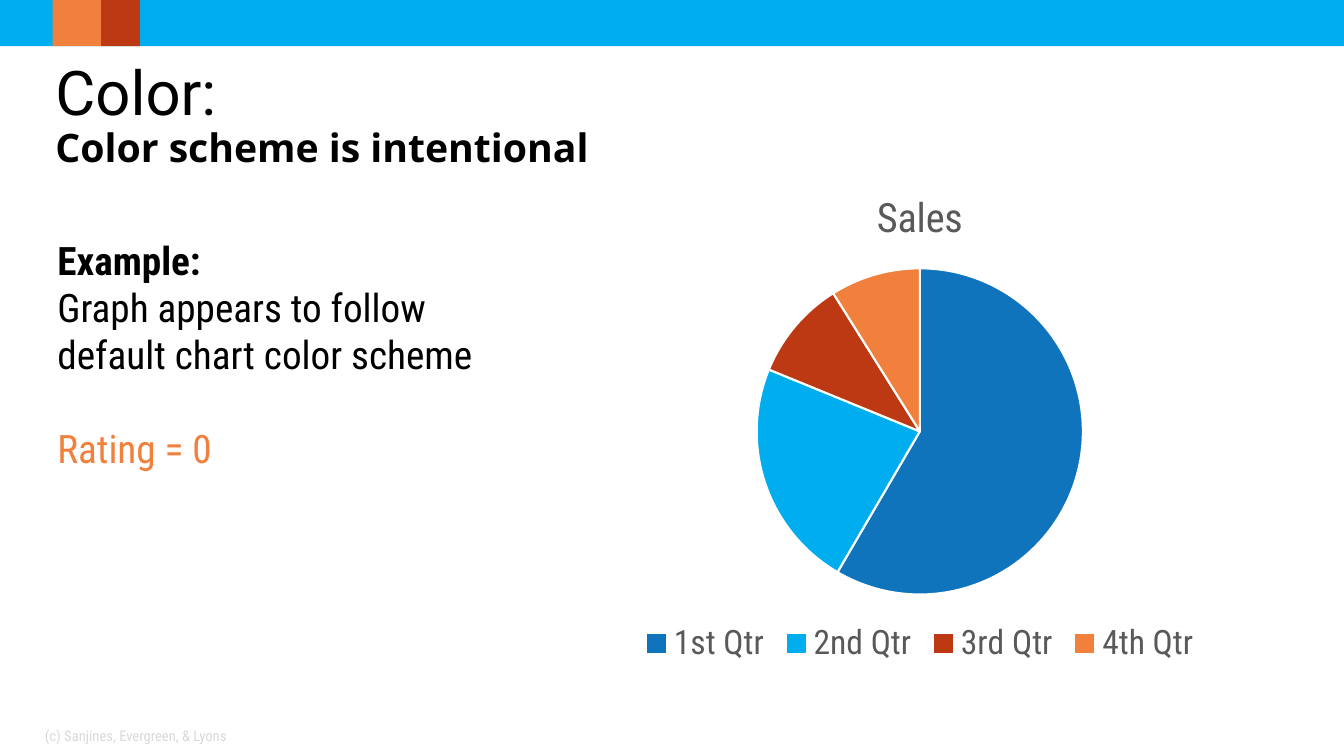
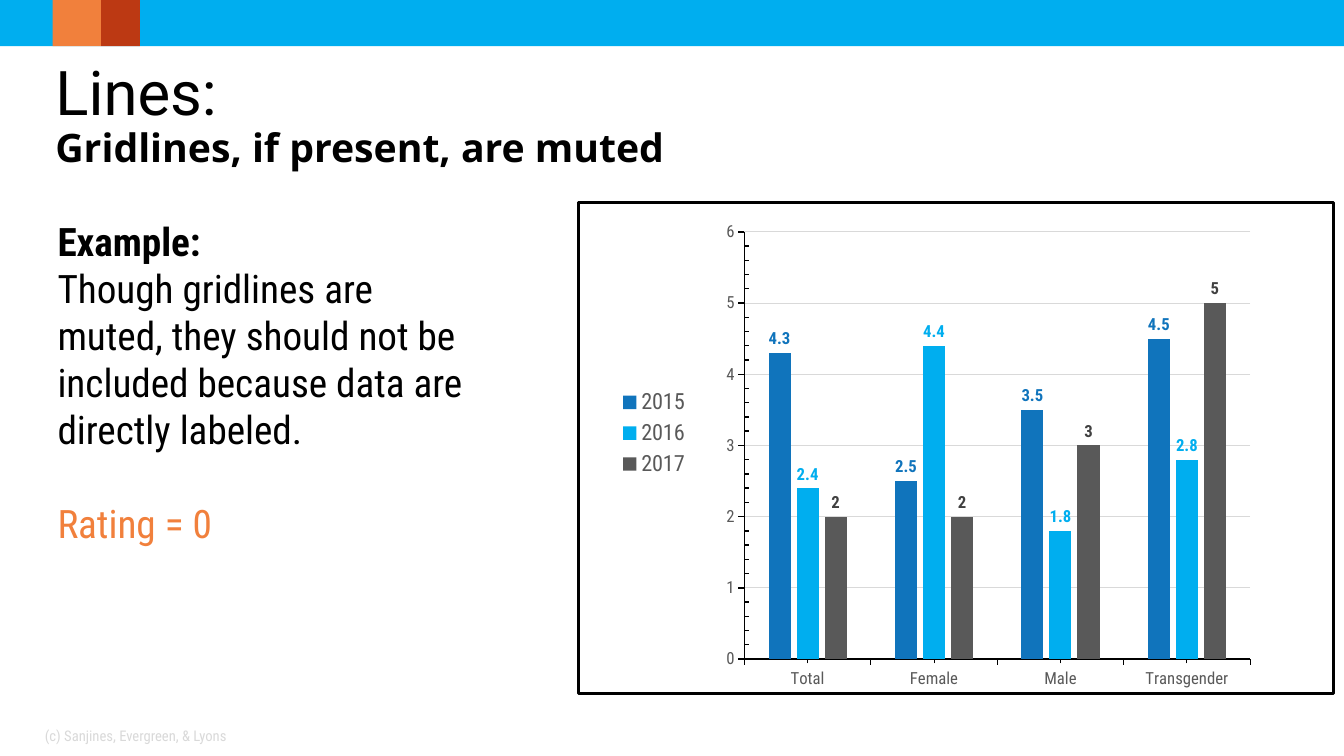
from dataclasses import dataclass

import lxml.etree
import pptx
import pptx.chart.data
import pptx.dml.color
import pptx.enum.chart
import pptx.enum.shapes
import pptx.enum.text
import pptx.oxml.ns
import pptx.util

Pt = pptx.util.Pt
RGB = pptx.dml.color.RGBColor.from_string
qn = pptx.oxml.ns.qn
Tick = pptx.enum.chart.XL_TICK_MARK
LegendPosition = pptx.enum.chart.XL_LEGEND_POSITION
ChartType = pptx.enum.chart.XL_CHART_TYPE


@dataclass(frozen=True)
class Theme:
    sky: str = "00AEEF"
    blue: str = "1074BC"
    red: str = "BC3913"
    orange: str = "F1803C"
    black: str = "000000"
    charcoal: str = "404040"
    gray: str = "595959"
    light_gray: str = "D9D9D9"
    white: str = "FFFFFF"
    title_font: str = "Roboto"
    subtitle_font: str = "Open Sans"
    body_font: str = "Roboto Condensed"
    title_size: float = 44
    body_size: float = 28
    chart_title_size: float = 28.8
    pie_legend_size: float = 24
    legend_size: float = 16
    chart_size: float = 12
    footer_size: float = 10.5


THEME = Theme()
SLIDE_WIDTH, SLIDE_HEIGHT = 960, 540
BAND_HEIGHT = 33


def apply(target, values):
    for name, value in values.items():
        setattr(target, name, value)


def set_font(font, size, color, name=THEME.body_font, bold=False):
    apply(font, {"size": Pt(size), "name": name, "bold": bold})
    font.color.rgb = RGB(color)


def set_line(line, color, width):
    line.color.rgb = RGB(color)
    line.width = Pt(width)


def set_layout(parent, index, box, inner=False):
    """Place a chart part by fractions (x, y, width, height) of the chart."""
    for old in parent.findall(qn("c:layout")):
        parent.remove(old)
    layout = lxml.etree.Element(qn("c:layout"))
    manual = lxml.etree.SubElement(layout, qn("c:manualLayout"))
    settings = {"layoutTarget": "inner"} if inner else {}
    settings.update(xMode="edge", yMode="edge")
    settings.update(zip("xywh", map(str, box)))
    for tag, value in settings.items():
        lxml.etree.SubElement(manual, qn("c:" + tag), val=value)
    parent.insert(index, layout)


def set_border(chart, color, width):
    properties = lxml.etree.Element(qn("c:spPr"))
    line = lxml.etree.SubElement(properties, qn("a:ln"), w=str(Pt(width)))
    fill = lxml.etree.SubElement(line, qn("a:solidFill"))
    lxml.etree.SubElement(fill, qn("a:srgbClr"), val=color)
    chart.element.find(qn("c:chart")).addnext(properties)


class Deck:
    def __init__(self, theme):
        self.theme = theme
        self.presentation = pptx.Presentation()
        apply(self.presentation, {"slide_width": Pt(SLIDE_WIDTH), "slide_height": Pt(SLIDE_HEIGHT)})
        self.slide = None

    def start_slide(self, title, subtitle):
        self.slide = self.presentation.slides.add_slide(self.presentation.slide_layouts[6])
        theme = self.theme
        for left, width, color in [(0, SLIDE_WIDTH, theme.sky), (72, 28, theme.red), (37.5, 34.5, theme.orange)]:
            self.band(left, width, color)
        self.title(title, subtitle)
        self.footer("(c) Sanjines, Evergreen, & Lyons")

    def band(self, left, width, color):
        shape = self.slide.shapes.add_shape(
            pptx.enum.shapes.MSO_SHAPE.RECTANGLE, Pt(left), Pt(0), Pt(width), Pt(BAND_HEIGHT))
        shape.shadow.inherit = False
        shape.fill.solid()
        shape.fill.fore_color.rgb = RGB(color)
        shape.line.fill.background()

    def text_box(self, box, **frame_values):
        frame = self.slide.shapes.add_textbox(*map(Pt, box)).text_frame
        apply(frame, {"word_wrap": True, **frame_values})
        return frame

    def run(self, paragraph, text, *font):
        run = paragraph.add_run()
        run.text = text
        set_font(run.font, *font)

    def title(self, title, subtitle):
        theme = self.theme
        frame = self.text_box((39.6, 38, 900, 90), margin_left=0, margin_right=0,
                              vertical_anchor=pptx.enum.text.MSO_ANCHOR.MIDDLE)
        paragraph = frame.paragraphs[0]
        paragraph.line_spacing = 0.9
        self.run(paragraph, title, theme.title_size, theme.black, theme.title_font)
        paragraph.add_line_break()
        self.run(paragraph, subtitle, theme.body_size, theme.black, theme.subtitle_font, True)

    def footer(self, text):
        frame = self.text_box((25, 511, 224, 29), vertical_anchor=pptx.enum.text.MSO_ANCHOR.MIDDLE)
        self.run(frame.paragraphs[0], text, self.theme.footer_size, self.theme.light_gray)

    def example(self, box, text, rating):
        theme = self.theme
        frame = self.text_box(box, auto_size=pptx.enum.text.MSO_AUTO_SIZE.SHAPE_TO_FIT_TEXT)
        lines = [("Example:", theme.black, True, 0), (text, theme.black, False, 0),
                 (f"Rating = {rating}", theme.orange, False, 33.6)]
        for index, (line, color, bold, gap) in enumerate(lines):
            paragraph = frame.add_paragraph() if index else frame.paragraphs[0]
            if gap:
                paragraph.space_before = Pt(gap)
            self.run(paragraph, line, theme.body_size, color, theme.body_font, bold)

    def chart(self, kind, box, categories, series, plot_box, legend_position, legend_size):
        data = pptx.chart.data.CategoryChartData()
        data.categories = categories
        for name, values in series.items():
            data.add_series(name, values)
        chart = self.slide.shapes.add_chart(kind, *map(Pt, box), data).chart
        set_font(chart.font, self.theme.chart_size, self.theme.black)
        apply(chart, {"has_title": False, "has_legend": True})
        apply(chart.legend, {"position": legend_position, "include_in_layout": False})
        set_font(chart.legend.font, legend_size, self.theme.gray)
        set_layout(chart.element.find(".//" + qn("c:plotArea")), 0, plot_box, inner=True)
        return chart

    def pie_chart(self, box, title, categories, values, colors):
        theme = self.theme
        chart = self.chart(ChartType.PIE, box, categories, {title: values},
                           (0.26, 0.2, 0.48, 0.65), LegendPosition.BOTTOM, theme.pie_legend_size)
        chart.has_title = True
        chart.chart_title.include_in_layout = False
        paragraph = chart.chart_title.text_frame.paragraphs[0]
        self.run(paragraph, title, theme.chart_title_size, theme.gray)
        plot = chart.plots[0]
        plot.vary_by_categories = True
        for index, color in enumerate(colors):
            slice_format = plot.series[0].points[index].format
            slice_format.fill.solid()
            slice_format.fill.fore_color.rgb = RGB(color)
            set_line(slice_format.line, theme.white, 1.5)

    def column_chart(self, box, categories, series, colors):
        """Draw clustered columns; colors holds a (fill, label) pair per series."""
        theme = self.theme
        chart = self.chart(ChartType.COLUMN_CLUSTERED, box, categories, series,
                           (0.22, 0.06, 0.67, 0.87), LegendPosition.RIGHT, theme.legend_size)
        set_layout(chart.legend.element if hasattr(chart.legend, "element")
                   else chart.element.find(".//" + qn("c:legend")), 1, (0.05, 0.37, 0.1, 0.2))
        set_border(chart, theme.black, 2.25)
        plot = chart.plots[0]
        apply(plot, {"gap_width": 219, "overlap": -27, "vary_by_categories": False})
        for one_series, (fill, label) in zip(plot.series, colors):
            one_series.format.fill.solid()
            one_series.format.fill.fore_color.rgb = RGB(fill)
            labels = one_series.data_labels
            apply(labels, {"show_value": True, "position": pptx.enum.chart.XL_LABEL_POSITION.OUTSIDE_END})
            set_font(labels.font, theme.chart_size, label, bold=True)
        for axis, minor_tick, width in [(chart.category_axis, Tick.OUTSIDE, 0.75),
                                        (chart.value_axis, Tick.INSIDE, 1)]:
            apply(axis, {"major_tick_mark": Tick.OUTSIDE, "minor_tick_mark": minor_tick})
            set_font(axis.tick_labels.font, theme.chart_size, theme.gray)
            set_line(axis.format.line, theme.black, width)
        apply(chart.value_axis, {"minimum_scale": 0, "maximum_scale": 6, "major_unit": 1,
                                 "minor_unit": 0.2, "has_major_gridlines": True})
        set_line(chart.value_axis.major_gridlines.format.line, theme.light_gray, 0.75)


def main():
    deck = Deck(THEME)

    deck.start_slide("Color:", "Color scheme is intentional")
    deck.example((34, 165, 340, 177), "Graph appears to follow default chart color scheme", 0)
    deck.pie_chart((410.5, 120, 493, 358.5), "Sales",
                   ["1st Qtr", "2nd Qtr", "3rd Qtr", "4th Qtr"], [59, 23, 10, 9],
                   [THEME.blue, THEME.sky, THEME.red, THEME.orange])

    deck.start_slide("Lines:", "Gridlines, if present, are muted")
    deck.example((34, 151.5, 311, 245), "Though gridlines are muted, they should not be included "
                 "because data are directly labeled.", 0)
    deck.column_chart((412, 143.5, 541.5, 353), ["Total", "Female", "Male", "Transgender"],
                      {"2015": [4.3, 2.5, 3.5, 4.5], "2016": [2.4, 4.4, 1.8, 2.8], "2017": [2, 2, 3, 5]},
                      [(THEME.blue, THEME.blue), (THEME.sky, THEME.sky), (THEME.gray, THEME.charcoal)])

    deck.presentation.save("out.pptx")


if __name__ == "__main__":
    main()
